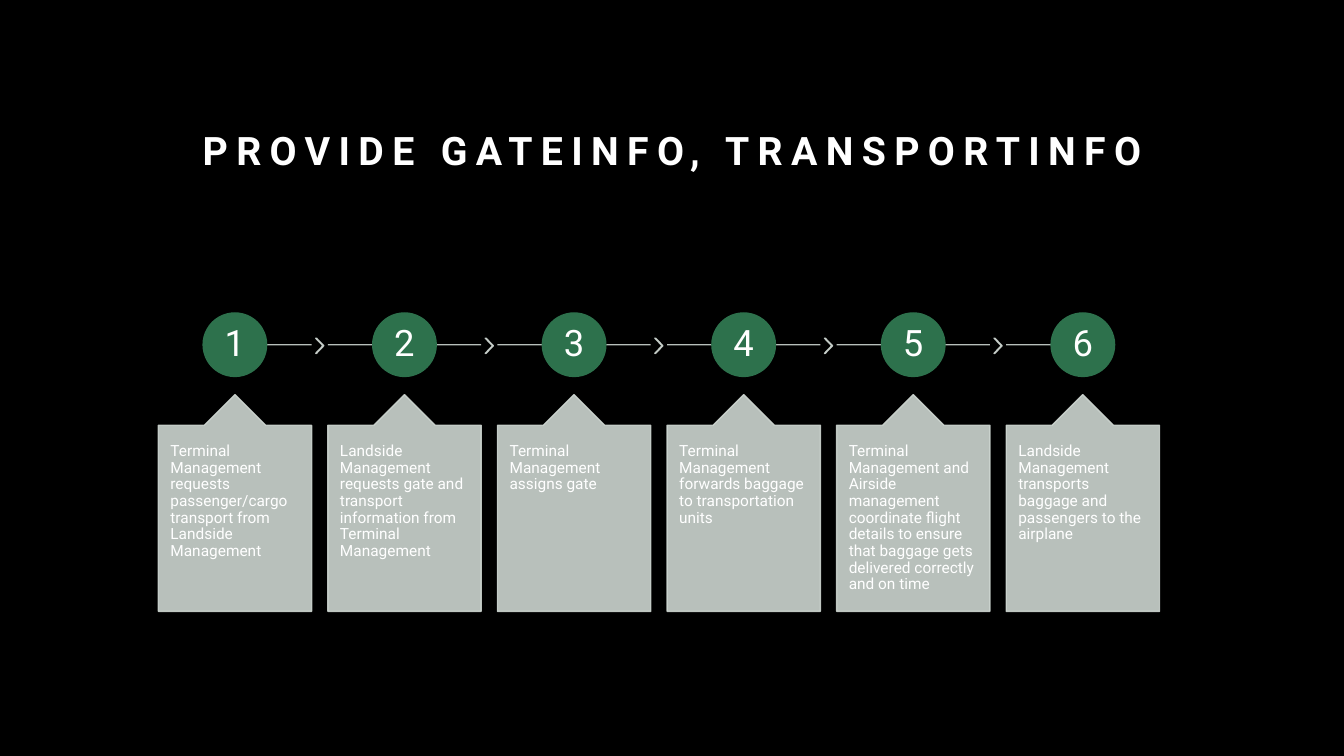
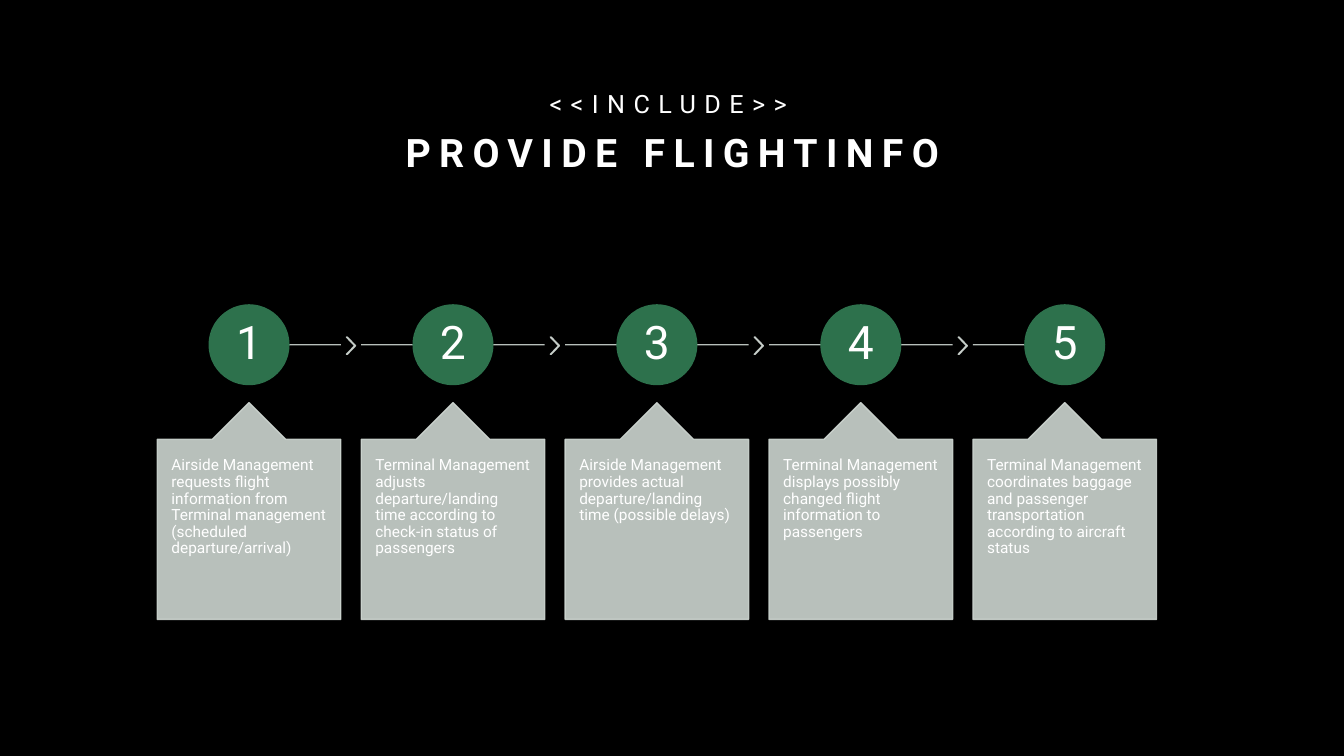
import dataclasses

import pptx
import pptx.dml.color
import pptx.enum.shapes
import pptx.enum.text
import pptx.oxml.ns
import pptx.util
from lxml import etree

Inches = pptx.util.Inches
Pt = pptx.util.Pt
SHAPE = pptx.enum.shapes.MSO_SHAPE
ALIGN = pptx.enum.text.PP_ALIGN
ANCHOR = pptx.enum.text.MSO_ANCHOR
qn = pptx.oxml.ns.qn

COLORS = {"back": "000000", "text": "FFFFFF", "step": "2D714C", "card": "CDD5D0"}
FONT = "Roboto"
CARD_OPACITY = 90
LINE_Y = 3.42
CHEVRON_Y = 3.43
CARD_HEIGHT = 2.15
CARD_GAP = 0.18


@dataclasses.dataclass
class Flow:
    first_left: float
    last_left: float
    card_width: float
    circle: float
    number_size: int
    inset: float
    chevron_width: float
    chevron_height: float


def rgb(name):
    return pptx.dml.color.RGBColor.from_string(COLORS[name])


def paint(fill, name, opacity=100):
    fill.solid()
    fill.fore_color.rgb = rgb(name)
    if opacity < 100:
        for color in fill._xPr.iter(qn("a:srgbClr")):
            if color.find(qn("a:alpha")) is None:
                etree.SubElement(color, qn("a:alpha")).set("val", str(opacity * 1000))


def style_runs(p, sizes, bolds, spacing=0):
    for r, size, bold in zip(p.runs, sizes, bolds):
        r.font.name = FONT
        r.font.size = Pt(size)
        r.font.bold = bold
        r.font.color.rgb = rgb("text")
        if spacing:
            r._r.get_or_add_rPr().set("spc", str(spacing * 100))


def set_margins(tf, side, top):
    tf.margin_left = tf.margin_right = Inches(side)
    tf.margin_top = tf.margin_bottom = Inches(top)


def add_title(s, text, sizes, bolds, bottom):
    width, height = 10.1, 1.58
    sp = s.shapes.add_textbox(Inches(1.62), Inches(bottom - height), Inches(width), Inches(height))
    tf = sp.text_frame
    tf.word_wrap = True
    tf.vertical_anchor = ANCHOR.BOTTOM
    p = tf.paragraphs[0]
    p.text = text
    p.alignment = ALIGN.CENTER
    p.line_spacing = 1.2
    style_runs(p, sizes, bolds, spacing=6)


def add_shape(s, kind, left, top, width, height, color, opacity=100):
    sp = s.shapes.add_shape(kind, Inches(left), Inches(top), Inches(width), Inches(height))
    sp.shadow.inherit = False
    paint(sp.fill, color, opacity)
    sp.line.width = Pt(1)
    paint(sp.line.fill, color, opacity)
    return sp


def add_label(sp, text, size, align, anchor, side, top):
    tf = sp.text_frame
    tf.word_wrap = True
    tf.vertical_anchor = anchor
    set_margins(tf, side, top)
    p = tf.paragraphs[0]
    p.text = text
    p.alignment = align
    p.line_spacing = 0.9
    style_runs(p, [size], [False])


def add_line(s, start, end):
    cx = s.shapes.add_connector(pptx.enum.shapes.MSO_CONNECTOR.STRAIGHT,
                                Inches(start), Inches(LINE_Y), Inches(end), Inches(LINE_Y))
    cx.line.width = Pt(1)
    paint(cx.line.fill, "card", CARD_OPACITY)
    etree.SubElement(cx._element.spPr, qn("a:effectLst"))


def add_chevron(s, flow, center):
    sp = add_shape(s, SHAPE.CHEVRON, center - flow.chevron_width / 2,
                   CHEVRON_Y - flow.chevron_height / 2,
                   flow.chevron_width, flow.chevron_height, "card", CARD_OPACITY)
    sp.adjustments[0] = 0.9


def add_circle(s, flow, center, number):
    sp = add_shape(s, SHAPE.OVAL, center - flow.circle / 2, LINE_Y - flow.circle / 2,
                   flow.circle, flow.circle, "step")
    add_label(sp, str(number), flow.number_size, ALIGN.CENTER, ANCHOR.MIDDLE, 0.02, 0.02)


def add_card(s, flow, left, text):
    top = LINE_Y + flow.circle / 2 + CARD_GAP
    sp = add_shape(s, SHAPE.UP_ARROW_CALLOUT, left, top, flow.card_width, CARD_HEIGHT,
                   "card", CARD_OPACITY)
    for i, value in enumerate((0.5, 0.2, 0.2, 1)):
        sp.adjustments[i] = value
    add_label(sp, text, 11, ALIGN.LEFT, ANCHOR.TOP, flow.inset, 0.18)


def add_flow(s, flow, steps):
    last = len(steps) - 1
    pitch = (flow.last_left - flow.first_left) / last
    for i, text in enumerate(steps):
        left = flow.first_left + i * pitch
        right = left + flow.card_width
        center = (left + right) / 2
        add_line(s, center if i == 0 else left, center if i == last else right)
        if i < last:
            add_chevron(s, flow, (right + left + pitch) / 2)
        add_circle(s, flow, center, i + 1)
        add_card(s, flow, left, text)


def main():
    prs = pptx.Presentation()
    prs.slide_width, prs.slide_height = Inches(13.33), Inches(7.5)
    paint(prs.slide_master.background.fill, "back")
    blank = prs.slide_layouts[6]

    s = prs.slides.add_slide(blank)
    add_title(s, "PROVIDE GATEINFO, TRANSPORTINFO", [28], [True], 1.77)
    add_flow(s, Flow(1.57, 9.98, 1.52, 0.63, 26, 0.12, 0.08, 0.15), [
        "Terminal Management requests passenger/cargo transport from Landside Management",
        "Landside Management requests gate and transport information from Terminal Management",
        "Terminal Management assigns gate",
        "Terminal Management forwards baggage to transportation units",
        "Terminal Management and Airside management coordinate flight details to ensure "
        "that baggage gets delivered correctly and on time",
        "Landside Management transports baggage and passengers to the airplane",
    ])

    s = prs.slides.add_slide(blank)
    add_title(s, "<<INCLUDE>>\vPROVIDE FLIGHTINFO", [18, 28], [False, True], 1.79)
    add_flow(s, Flow(1.56, 9.65, 1.82, 0.79, 33, 0.14, 0.09, 0.17), [
        "Airside Management requests flight information from Terminal management "
        "(scheduled departure/arrival)",
        "Terminal Management adjusts departure/landing time according to check-in status "
        "of passengers",
        "Airside Management provides actual departure/landing time (possible delays)",
        "Terminal Management displays possibly changed flight information to passengers",
        "Terminal Management coordinates baggage and passenger transportation according to "
        "aircraft status",
    ])

    prs.save("out.pptx")


if __name__ == "__main__":
    main()
